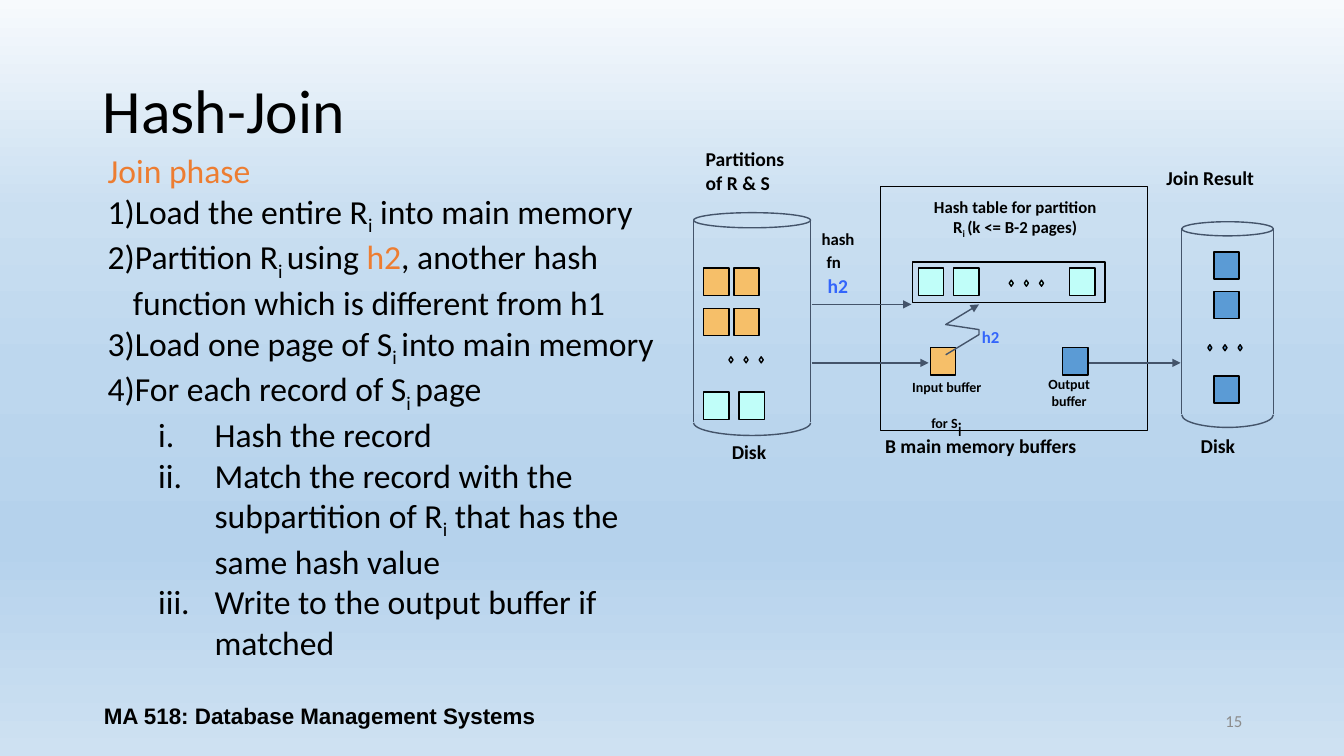
from lxml import etree
from pptx import Presentation
from pptx.dml.color import RGBColor
from pptx.enum import shapes, text
from pptx.oxml import ns
from pptx.util import Inches, Pt

BLACK = RGBColor(0, 0, 0)
GRAY = RGBColor(0x8C, 0x8C, 0x8C)
ORANGE = RGBColor(0xED, 0x7D, 0x31)
BLUE = RGBColor(0x33, 0x65, 0xFB)
SLATE = RGBColor(0x44, 0x54, 0x6A)
AMBER = RGBColor(0xF6, 0xBF, 0x69)
MINT = RGBColor(0xC0, 0xFE, 0xF9)
STEEL = RGBColor(0x5B, 0x9B, 0xD5)
SKY = [(0, "F7FAFD"), (28, "CADFF1"), (49, "BDD7EE"), (72, "B5D2EC"), (100, "CEE1F2")]
KIND = shapes.MSO_SHAPE
LEFT, MID, RIGHT = text.PP_ALIGN.LEFT, text.PP_ALIGN.CENTER, text.PP_ALIGN.RIGHT


def sub(node, tag, **attrs):
    return etree.SubElement(node, ns.qn(tag), **attrs)


class Deck:
    def __init__(self, font="Calibri"):
        self.prs = Presentation()
        self.prs.slide_width, self.prs.slide_height = Inches(13.33), Inches(7.5)
        self.slide = self.prs.slides.add_slide(self.prs.slide_layouts[5])
        self.items = self.slide.shapes
        self.font = font

    def sky(self, stops):
        fill = self.slide.background.fill
        fill.gradient()
        fill.gradient_angle = 270
        grad = self.slide.element.find(".//" + ns.qn("a:gsLst"))
        for old in list(grad):
            grad.remove(old)
        for pos, color in stops:
            sub(sub(grad, "a:gs", pos=str(pos * 1000)), "a:srgbClr", val=color)

    def style(self, para, size, color=BLACK, bold=False, align=LEFT, font=None):
        para.alignment = align
        face = para.font
        face.name, face.size, face.bold = font or self.font, Pt(size), bold
        face.color.rgb = color

    def runs(self, para, words):
        """Add runs; every second part between bars is a subscript."""
        for num, part in enumerate(words.split("|")):
            run = para.add_run()
            run.text = part
            if num % 2:
                run.font._element.set("baseline", "-25000")
        return run

    def title(self, words, x, y, w, h):
        box = self.items.title
        box.left, box.top, box.width, box.height = map(Inches, (x, y, w, h))
        frame = box.text_frame
        frame.text = words
        frame.vertical_anchor = text.MSO_ANCHOR.MIDDLE
        frame.paragraphs[0].line_spacing = 0.9
        self.style(frame.paragraphs[0], 44)

    def label(self, lines, x, y, w, h, size=14, color=BLACK, bold=True,
              align=LEFT, font=None, wrap=False, anchor=text.MSO_ANCHOR.TOP):
        frame = self.items.add_textbox(*map(Inches, (x, y, w, h))).text_frame
        frame.word_wrap = wrap
        frame.vertical_anchor = anchor
        for num, words in enumerate(lines):
            para = frame.add_paragraph() if num else frame.paragraphs[0]
            self.style(para, size, color, bold, align, font)
            self.runs(para, words)
        return frame

    def shape(self, kind, x, y, w, h, fill=None, line=BLACK):
        item = self.items.add_shape(kind, *map(Inches, (x, y, w, h)))
        return self.paint(item, fill, line)

    def paint(self, item, fill, line):
        item.shadow.inherit = False
        if fill is None:
            item.fill.background()
        else:
            item.fill.solid()
            item.fill.fore_color.rgb = fill
        item.line.color.rgb, item.line.width = line, Pt(1)
        return item

    def page(self, x, y, fill):
        self.shape(KIND.RECTANGLE, x, y, 0.25, 0.27, fill)

    def dots(self, x, y, fill=None):
        for num in range(3):
            self.shape(KIND.DIAMOND, x + 0.15 * num, y, 0.04, 0.06, fill)

    def tip(self, item):
        sub(item.line._get_or_add_ln(), "a:tailEnd", type="triangle")

    def line(self, x, y, x2, y2, arrow=False):
        item = self.items.add_connector(
            shapes.MSO_CONNECTOR.STRAIGHT, *map(Inches, (x, y, x2, y2)))
        item.line.color.rgb, item.line.width = SLATE, Pt(1)
        if arrow:
            self.tip(item)
        sub(item._element.spPr, "a:effectLst")

    def zigzag(self, points):
        first, *rest = [(Inches(x), Inches(y)) for x, y in points]
        draw = self.items.build_freeform(*first)
        draw.add_line_segments(rest, close=False)
        self.tip(self.paint(draw.convert_to_shape(), None, SLATE))

    def disk(self, x, y, w, low, lid):
        """Lid ellipse, two sides, and a half ellipse that ends at low."""
        self.shape(KIND.OVAL, x, y, w, lid, line=SLATE)
        for side in (x, x + w):
            self.line(side, y + lid / 2, side, low - 0.13)
        arc = self.shape(KIND.ARC, x, low - 0.25, w, 0.25, line=SLATE)
        arc.adjustments[0], arc.adjustments[1] = 0, 108

    def bullet(self, para, kind, left, hang):
        props = para._p.get_or_add_pPr()
        props.set("marL", str(Inches(left)))
        props.set("indent", str(-Inches(hang)))
        mark = etree.Element(ns.qn("a:buAutoNum"), type=kind)
        props.insert_element_before(mark, "a:tabLst", "a:defRPr", "a:extLst")


deck = Deck()
deck.sky(SKY)
deck.title("Hash-Join", 0.92, 0.4, 11.5, 1.45)

# Footer
deck.label(["15"], 9.42, 6.95, 3, 0.4, 12, GRAY, False, RIGHT,
           wrap=True, anchor=text.MSO_ANCHOR.MIDDLE)
deck.label(["MA 518: Database Management Systems"], 0.92, 6.9, 4.5, 0.4, 16,
           align=MID, font="Arial", wrap=True, anchor=text.MSO_ANCHOR.MIDDLE)

# Steps of the join phase
steps = ["Load the entire R|i| into main memory", "Partition R|i |using ",
         "Load one page of S|i |into main memory", "For each record of S|i |page"]
parts = ["Hash the record",
         "Match the record with the subpartition of R|i| that has the same hash value",
         "Write to the output buffer if matched"]
body = deck.label(["Join phase"] + steps + parts, 0.97, 1.48, 5.72, 4.91, 24,
                  bold=False, wrap=True)
paras = body.paragraphs
paras[0].font.color.rgb = ORANGE
paras[0].line_spacing = 0.9
for para in paras[1:5]:
    deck.bullet(para, "arabicParenR", 0.25, 0.25)
for para in paras[5:]:
    para.level = 1
    deck.bullet(para, "romanLcPeriod", 1.06, 0.56)
deck.runs(paras[2], "h2").font.color.rgb = ORANGE
deck.runs(paras[2], ", another hash function which is different from h1")

# Partitions on disk
deck.label(["Partitions", "of R & S"], 6.9, 1.41, 1.1, 0.56)
deck.disk(6.88, 2.11, 1.16, 4.32, 0.15)
for y in (2.66, 3.06):
    for x in (6.98, 7.28):
        deck.page(x, y, AMBER)
deck.dots(7.23, 3.54)
for x in (6.98, 7.33):
    deck.page(x, 3.89, MINT)
deck.label(["Disk"], 7.16, 4.32, 0.59, 0.33)

# Main memory and hash table
deck.shape(KIND.RECTANGLE, 8.73, 1.85, 2.65, 2.42)
deck.shape(KIND.RECTANGLE, 9.05, 2.6, 1.91, 0.4)
deck.label(["Hash table for partition", "R|i |(k <= B-2 pages)"],
           9.15, 1.9, 1.84, 0.5, 12, align=MID)
for x in (9.11, 9.46, 10.61):
    deck.page(x, 2.66, MINT)
deck.dots(10.01, 2.78, MINT)
deck.label(["B main memory buffers"], 8.68, 4.26, 2.42, 0.33)

# Input and output buffers
deck.page(9.23, 3.45, AMBER)
deck.page(10.54, 3.45, STEEL)
into = deck.label(["Input buffer", "for S|i"], 8.94, 3.78, 0.9, 0.45, 10, align=MID)
into.paragraphs[0].line_spacing = 0.5
mark = into.paragraphs[1].runs[1].font
mark.size, mark.bold = Pt(24), False
deck.label(["Output ", " buffer"], 10.3, 3.68, 0.72, 0.43, 10)

# Join result on disk
deck.label(["Join Result"], 11.47, 1.6, 1.25, 0.33)
deck.disk(11.72, 2.2, 0.91, 4.24, 0.14)
for y in (2.5, 2.89, 3.73):
    deck.page(12.04, y, STEEL)
deck.dots(11.98, 3.42, STEEL)
deck.label(["Disk"], 11.81, 4.26, 0.59, 0.33)

# Hash functions and flow
deck.label(["hash"], 8.05, 2.22, 0.56, 0.3, 12)
deck.label(["fn"], 8.1, 2.45, 0.37, 0.3, 12)
deck.label(["h2"], 8.11, 2.67, 0.43, 0.33, 14, BLUE)
deck.label(["h2"], 9.64, 3.19, 0.4, 0.3, 12, BLUE)
for x, y, end in ((8.05, 3.02, 9.04), (8.05, 3.6, 9.21), (10.8, 3.6, 11.71)):
    deck.line(x, y, end, y, arrow=True)
deck.zigzag([(9.38, 3.52), (9.71, 3.32), (9.71, 3.27), (9.38, 3.22), (9.71, 3.02)])

deck.prs.save("out.pptx")
